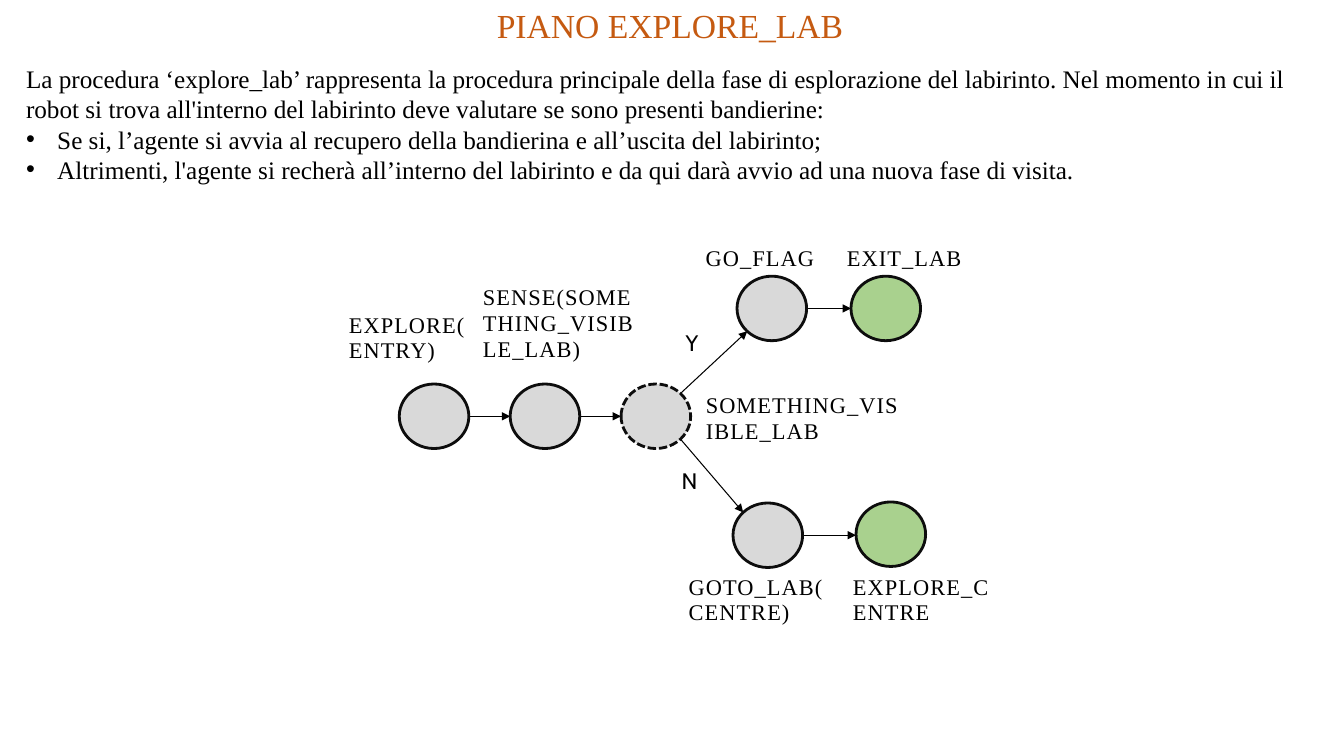
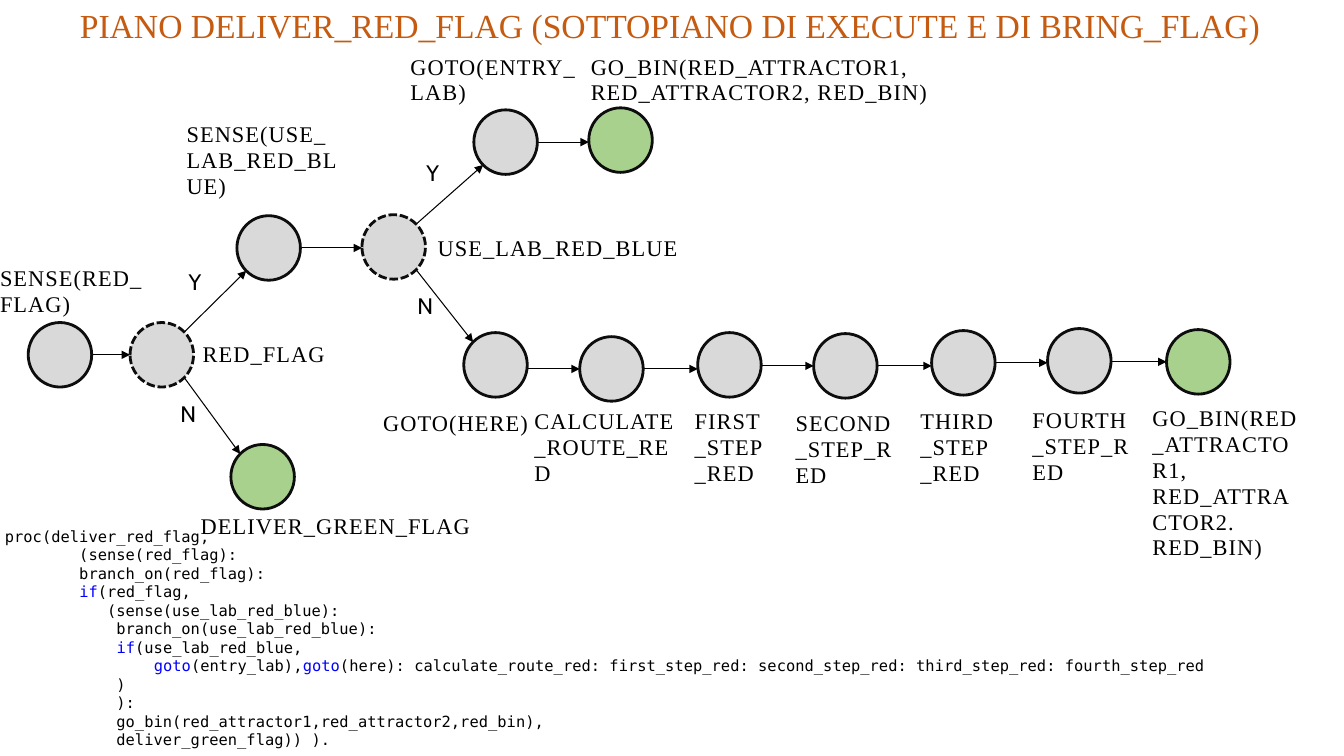
from math import sqrt

from lxml.etree import SubElement
from pptx import Presentation
from pptx.dml.color import RGBColor
from pptx.enum.dml import MSO_LINE
from pptx.enum.shapes import MSO_CONNECTOR, MSO_SHAPE
from pptx.enum.text import PP_ALIGN
from pptx.oxml.ns import qn
from pptx.util import Inches, Pt

SERIF, SANS, MONO = "Times New Roman", "Cabin", "DejaVu Sans Mono"
BLACK, INK, ORANGE, BLUE = "000000", "0D0D0D", "C55A11", "0000FF"
GREY, GREEN = "D9D9D9", "A9D18E"
NODE_H = 0.64


def rgb(value):
    return RGBColor.from_string(value)


def style(r, font, size, color=BLACK):
    r.font.name = font
    r.font.size = Pt(size)
    r.font.color.rgb = rgb(color)


def add_text(s, x, y, w, h, paragraphs, font, size, color=BLACK, insets=(0.1, 0.05)):
    """Text box with one string per paragraph; insets are left/right and top/bottom."""
    tf = s.shapes.add_textbox(Inches(x), Inches(y), Inches(w), Inches(h)).text_frame
    tf.word_wrap = True
    tf.margin_left = tf.margin_right = Inches(insets[0])
    tf.margin_top = tf.margin_bottom = Inches(insets[1])
    tf.text = "\n".join(paragraphs)
    for p in tf.paragraphs:
        for r in p.runs:
            style(r, font, size, color)
    return tf


def add_title(s, text):
    tf = add_text(s, -0.05, 0, 13.39, 0.5, [text], SERIF, 24, ORANGE)
    tf.paragraphs[0].alignment = PP_ALIGN.CENTER


def add_intro(s, x, y, w, h, lead, bullets):
    """Lead paragraph followed by bulleted ones."""
    tf = add_text(s, x, y, w, h, [lead, *bullets], SERIF, 18)
    for p in tf.paragraphs[1:]:
        pPr = p._p.get_or_add_pPr()
        pPr.set("marL", str(Inches(0.31)))
        pPr.set("indent", str(-Inches(0.31)))
        SubElement(pPr, qn("a:buFont")).set("typeface", "Arial")
        SubElement(pPr, qn("a:buChar")).set("char", "•")


def add_code(s, x, y, w, h, lines):
    """Code listing; the parts between bars are keywords."""
    tf = add_text(s, x, y, w, h, [""] * len(lines), MONO, 11)
    for p, line in zip(tf.paragraphs, lines):
        for i, part in enumerate(line.split("|")):
            r = p.add_run()
            r.text = part
            style(r, MONO, 11, BLUE if i % 2 else BLACK)


def add_label(s, x, y, w, h, text):
    tf = add_text(s, x, y, w, h, [text], SERIF, 16, insets=(0, 0.04))
    p = tf.paragraphs[0]
    p.line_spacing = 0.96
    p.runs[0]._r.get_or_add_rPr().set("spc", "80")


def add_node(s, x, y, w, kind):
    sp = s.shapes.add_shape(MSO_SHAPE.FLOWCHART_CONNECTOR,
                            Inches(x), Inches(y), Inches(w), Inches(NODE_H))
    sp.shadow.inherit = False
    sp.fill.solid()
    sp.fill.fore_color.rgb = rgb(GREEN if kind == "end" else GREY)
    sp.line.color.rgb = rgb(INK)
    sp.line.width = Pt(2)
    if kind == "branch":
        sp.line.dash_style = MSO_LINE.SQUARE_DOT


def add_arrow(s, x1, y1, x2, y2):
    line = s.shapes.add_connector(MSO_CONNECTOR.STRAIGHT,
                                  Inches(x1), Inches(y1), Inches(x2), Inches(y2))
    line.line.color.rgb = rgb(BLACK)
    line.line.width = Pt(0.75)
    SubElement(line.line._get_or_add_ln(), qn("a:tailEnd")).set("type", "triangle")
    SubElement(line._element.spPr, qn("a:effectLst"))


def edge_points(start, end, w):
    """Level arrows join facing sides; steep ones join the 45-degree points."""
    (x1, y1), (x2, y2) = start[:2], end[:2]
    mid = NODE_H / 2
    if abs(y2 - y1) < 0.1:
        y = max(y1, y2) + mid
        return x1 + w, y, x2, y
    dx = w / 2 / sqrt(2)
    dy = mid / sqrt(2) * (1 if y2 > y1 else -1)
    return x1 + w / 2 + dx, y1 + mid + dy, x2 + w / 2 - dx, y2 + mid - dy


def add_diagram(s, left, top, node_w, nodes, chains, answers):
    """Nodes: x, y, kind, label and label box, all relative to left and top."""
    for chain in chains:
        for a, b in zip(chain, chain[1:]):
            x1, y1, x2, y2 = edge_points(nodes[a], nodes[b], node_w)
            add_arrow(s, left + x1, top + y1, left + x2, top + y2)
    for x, y, kind, text, (lx, ly, lw, lh) in nodes.values():
        add_node(s, left + x, top + y, node_w, kind)
        add_label(s, left + lx, top + ly, lw, lh, text)
    for text, x, y in answers:
        add_text(s, left + x, top + y, 0.2, 0.32, [text], SANS, 16, insets=(0, 0.02))


def explore_slide(s):
    add_title(s, "PIANO EXPLORE_LAB")
    add_intro(
        s, 0.16, 0.58, 12.96, 1.62,
        "La procedura ‘explore_lab’ rappresenta la procedura principale della fase di "
        "esplorazione del labirinto. Nel momento in cui il robot si trova all'interno del "
        "labirinto deve valutare se sono presenti bandierine:",
        ["Se si, l’agente si avvia al recupero della bandierina e all’uscita del labirinto;",
         "Altrimenti, l'agente si recherà all’interno del labirinto e da qui darà avvio ad "
         "una nuova fase di visita."])
    nodes = {
        "explore": (0.5, 1.41, "step", "EXPLORE(ENTRY)", (0, 0.66, 1.21, 0.58)),
        "sense": (1.6, 1.41, "step", "SENSE(SOMETHING_VISIBLE_LAB)", (1.33, 0.39, 1.56, 0.86)),
        "visible": (2.7, 1.41, "branch", "SOMETHING_VISIBLE_LAB", (3.54, 1.46, 1.92, 0.58)),
        "flag": (3.85, 0.34, "step", "GO_FLAG", (3.54, 0, 1.4, 0.3)),
        "exit": (4.98, 0.34, "end", "EXIT_LAB", (4.94, 0, 1.42, 0.3)),
        "goto": (3.81, 2.59, "step", "GOTO_LAB(CENTRE)", (3.37, 3.26, 1.42, 0.58)),
        "centre": (5.03, 2.58, "end", "EXPLORE_CENTRE", (5, 3.26, 1.42, 0.58)),
    }
    chains = [("explore", "sense", "visible", "flag", "exit"),
              ("visible", "goto", "centre")]
    add_diagram(s, 3.46, 2.4, 0.69, nodes, chains,
                [("Y", 3.34, 0.84), ("N", 3.3, 2.21)])


def deliver_slide(s):
    add_title(s, "PIANO DELIVER_RED_FLAG (SOTTOPIANO DI EXECUTE E DI BRING_FLAG)")
    add_code(s, -0.05, 5.18, 12.12, 2.32, [
        "proc(deliver_red_flag,",
        "        (sense(red_flag):",
        "        branch_on(red_flag):",
        "        |if|(red_flag,",
        "           (sense(use_lab_red_blue):",
        "            branch_on(use_lab_red_blue):",
        "            |if|(use_lab_red_blue,",
        "                |goto|(entry_lab),|goto|(here): calculate_route_red: "
        "first_step_red: second_step_red: third_step_red: fourth_step_red",
        "            )",
        "            ):",
        "            go_bin(red_attractor1,red_attractor2,red_bin),",
        "            deliver_green_flag)) ).",
    ])
    nodes = {
        "sense": (0.28, 2.7, "step", "SENSE(RED_FLAG)", (0, 2.1, 1.52, 0.58)),
        "red": (1.29, 2.7, "branch", "RED_FLAG", (2.01, 2.85, 1.52, 0.31)),
        "green": (2.29, 3.91, "end", "DELIVER_GREEN_FLAG", (1.99, 4.56, 2.95, 0.31)),
        "sense_lab": (2.35, 1.64, "step", "SENSE(USE_LAB_RED_BLUE)", (1.85, 0.67, 1.51, 0.86)),
        "use_lab": (3.59, 1.63, "branch", "USE_LAB_RED_BLUE", (4.34, 1.8, 2.58, 0.31)),
        "entry": (4.7, 0.59, "step", "GOTO(ENTRY_LAB)", (4.07, 0, 1.7, 0.58)),
        "bin": (5.84, 0.57, "end", "GO_BIN(RED_ATTRACTOR1, RED_ATTRACTOR2, RED_BIN)",
                (5.86, 0, 3.57, 0.58)),
        "here": (4.6, 2.8, "step", "GOTO(HERE)", (3.8, 3.54, 1.7, 0.31)),
        "route": (5.75, 2.84, "step", "CALCULATE_ROUTE_RED", (5.3, 3.52, 1.45, 0.8)),
        "first": (6.92, 2.8, "step", "FIRST_STEP_RED", (6.89, 3.52, 0.77, 0.8)),
        "second": (8.07, 2.81, "step", "SECOND_STEP_RED", (7.89, 3.54, 1.02, 0.8)),
        "third": (9.24, 2.78, "step", "THIRD_STEP_RED", (9.13, 3.52, 0.77, 0.8)),
        "fourth": (10.39, 2.76, "step", "FOURTH_STEP_RED", (10.24, 3.51, 0.99, 0.8)),
        "last_bin": (11.57, 2.77, "end", "GO_BIN(RED_ATTRACTOR1, RED_ATTRACTOR2. RED_BIN)",
                     (11.43, 3.49, 1.45, 1.58)),
    }
    chains = [("sense", "red", "sense_lab", "use_lab", "entry", "bin"),
              ("red", "green"),
              ("use_lab", "here", "route", "first", "second", "third", "fourth", "last_bin")]
    add_diagram(s, 0, 0.5, 0.63, nodes, chains,
                [("Y", 4.23, 1.06), ("N", 4.14, 2.38), ("Y", 1.87, 2.14), ("N", 1.79, 3.45)])


def main():
    prs = Presentation()
    prs.slide_width, prs.slide_height = Inches(13.33), Inches(7.5)
    for build in (explore_slide, deliver_slide):
        build(prs.slides.add_slide(prs.slide_layouts[6]))
    prs.save("out.pptx")


if __name__ == "__main__":
    main()
